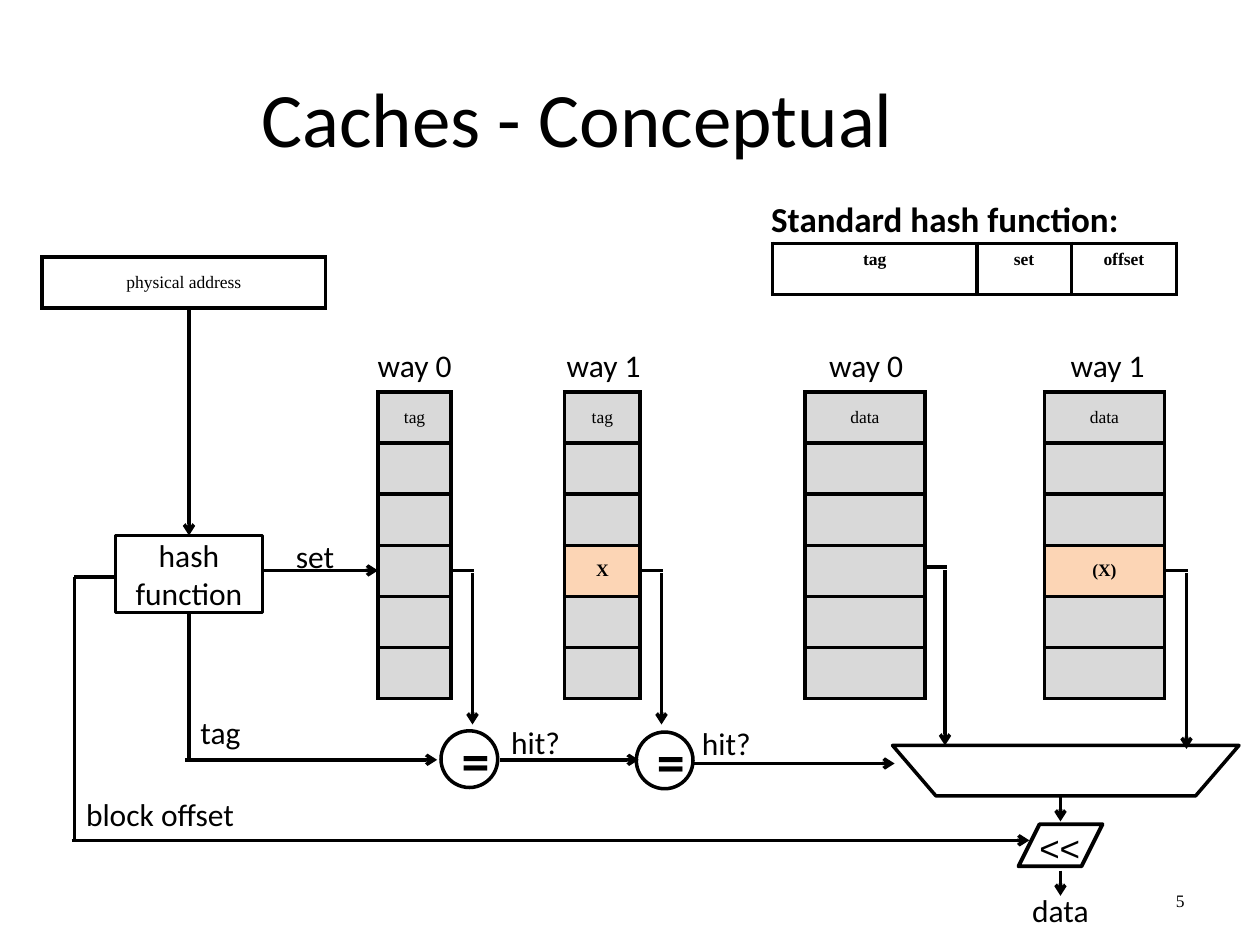
from lxml import etree
from pptx import Presentation
from pptx import util as u
from pptx.dml.color import RGBColor
from pptx.enum import shapes, text
from pptx.oxml.ns import qn

COLORS = {"ink": "000000", "paper": "FFFFFF", "cell": "D9D9D9", "match": "FCD5B5"}
NO_GRID_STYLE = "{2D5ABB26-0587-4C30-8999-92F81FD0307C}"
CENTER, LEFT, RIGHT = text.PP_ALIGN.CENTER, text.PP_ALIGN.LEFT, text.PP_ALIGN.RIGHT
TOP, MIDDLE = text.MSO_ANCHOR.TOP, text.MSO_ANCHOR.MIDDLE


def color(name):
    return RGBColor.from_string(COLORS[name])


class Diagram:
    body, small = "Calibri", "Times New Roman"
    stroke, border = 2, 2.25

    def __init__(self, slide):
        self.slide = slide

    def add_words(self, frame, words, size=18, font=body, bold=False, align=CENTER):
        paragraph = frame.paragraphs[0]
        paragraph.alignment = align
        run = paragraph.add_run()
        run.text = words
        run.font.size = u.Pt(size)
        run.font.name = font
        run.font.bold = bold
        run.font.color.rgb = color("ink")

    def title(self, words, *box):
        heading = self.slide.shapes.title
        heading.left, heading.top, heading.width, heading.height = map(u.Pt, box)
        heading.text_frame.vertical_anchor = MIDDLE
        self.add_words(heading.text_frame, words, 44)

    def label(self, words, *box, anchor=MIDDLE, wrap=True, **style):
        frame = self.slide.shapes.add_textbox(*map(u.Pt, box)).text_frame
        frame.word_wrap = wrap
        frame.vertical_anchor = anchor
        self.add_words(frame, words, **style)

    def outline(self, shape, width=stroke):
        shape.shadow.inherit = False
        shape.fill.solid()
        shape.fill.fore_color.rgb = color("paper")
        shape.line.color.rgb = color("ink")
        shape.line.width = u.Pt(width)

    def block(self, kind, *box, words=None, **style):
        shape = self.slide.shapes.add_shape(kind, *map(u.Pt, box))
        self.outline(shape)
        if words:
            shape.text_frame.word_wrap = True
            shape.text_frame.vertical_anchor = MIDDLE
            self.add_words(shape.text_frame, words, **style)
        return shape

    def polygon(self, start, *corners):
        builder = self.slide.shapes.build_freeform(*start, scale=u.Pt(1))
        builder.add_line_segments(corners, close=True)
        self.outline(builder.convert_to_shape(), self.border)

    def line(self, x1, y1, x2, y2, arrow=False):
        wire = self.slide.shapes.add_connector(
            shapes.MSO_CONNECTOR.STRAIGHT, *map(u.Pt, (x1, y1, x2, y2)))
        wire.line.color.rgb = color("ink")
        wire.line.width = u.Pt(self.stroke)
        props = wire.element.spPr
        if arrow:
            etree.SubElement(props.find(qn("a:ln")), qn("a:tailEnd"), type="arrow")
        etree.SubElement(props, qn("a:effectLst"))

    def table(self, left, top, widths, rows, height=29.2):
        frame = self.slide.shapes.add_table(
            rows, len(widths), *map(u.Pt, (left, top, sum(widths), rows * height)))
        grid = frame.table
        grid.first_row = grid.horz_banding = False
        frame.element.find(".//" + qn("a:tableStyleId")).text = NO_GRID_STYLE
        for column, width in zip(grid.columns, widths):
            column.width = u.Pt(width)
        return grid

    def cell(self, cell, words="", fill="paper", sides="LRTB", anchor=MIDDLE, bold=False):
        cell.vertical_anchor = anchor
        if words:
            self.add_words(cell.text_frame, words, 10, self.small, bold)
        props = cell._tc.get_or_add_tcPr()
        for side in sides:
            edge = etree.SubElement(props, qn(f"a:ln{side}"), w=str(int(u.Pt(self.border))))
            paint = etree.SubElement(edge, qn("a:solidFill"))
            etree.SubElement(paint, qn("a:srgbClr"), val=COLORS["ink"])
        cell.fill.solid()
        cell.fill.fore_color.rgb = color(fill)


def main():
    prs = Presentation()
    prs.slide_width, prs.slide_height = u.Pt(720), u.Pt(540)
    d = Diagram(prs.slides.add_slide(prs.slide_layouts[5]))
    d.title("Caches - Conceptual", 36, 21.6, 588, 90)
    d.label("5", 600, 500.4, 84, 28.8, size=10, font=d.small, align=RIGHT)

    # Tag and data arrays: ways in every other column, gaps between them
    ways = d.table(216, 224, [41.8, 64.8, 43.2, 94.3, 68.4, 68.4, 68.4], 6)
    row_sides = ["LRTB", "LRT", "LRB", "LRTB", "LRT", "LRB"]
    matches = {2: "X", 6: "(X)"}
    for col, heading in zip((0, 2, 4, 6), ("tag", "tag", "data", "data")):
        for row, sides in enumerate(row_sides):
            hit = row == 3 and col in matches
            words = heading if row == 0 else matches[col] if hit else ""
            d.cell(ways.cell(row, col), words, "match" if hit else "cell", sides, bold=hit)

    # Address and its standard split
    address = d.table(24, 146.9, [162], 1)
    d.cell(address.cell(0, 0), "physical address")
    fields = d.table(441.4, 139, [116.8, 54, 60], 1)
    for col, field in enumerate(("tag", "set", "offset")):
        d.cell(fields.cell(0, col), field, anchor=TOP, bold=True)
    d.label("Standard hash function:", 408, 109.4, 264, 45.4, anchor=TOP, size=20, bold=True)

    # Multiplexer, comparators and shifter
    mux = d.block(shapes.MSO_SHAPE.TRAPEZOID, 510, 426, 198, 28.8)
    mux.adjustments[0] = 0.86
    mux.element.spPr.xfrm.set("flipV", "1")
    for left, top in ((252, 417.6), (363.6, 418.3)):
        d.block(shapes.MSO_SHAPE.OVAL, left, top, 32.4, 32.4, words="=", size=32, bold=True)
    d.polygon((594, 470.9), (582, 494.6), (618, 494.6), (630, 470.9))
    d.label("<<", 586.8, 468.7, 38.2, 31, anchor=TOP, wrap=False,
            size=20, font="Arial", align=LEFT)

    # Read-out of each way: a short tick, then an arrow down
    for x, y, tip in ((258, 326, 414), (366, 326, 414), (528, 324, 426), (666, 326, 428)):
        d.line(x, y, x + 13, y)
        d.line(x + 12, y + 1.5, x + 12, tip, arrow=True)

    # Wires without an arrowhead
    for wire in ((108, 433.4, 108, 336), (42.5, 481, 42.5, 329.8), (42.5, 329.8, 107.3, 329.8)):
        d.line(*wire)

    # Arrows
    for wire in (
        (108, 326, 216, 326),        # set
        (108, 176.4, 108, 306),      # address to hash
        (105.8, 434.2, 249.8, 434.2),  # tag to first comparator
        (285.8, 434.2, 365, 434.2),  # first hit
        (396, 436.3, 511.2, 436.3),  # second hit
        (41, 480.2, 588.2, 480.2),   # block offset
        (606, 455, 606, 469.4),      # multiplexer to shifter
        (606, 497.5, 606, 511.9),    # shifter to data
    ):
        d.line(*wire, arrow=True)

    d.block(shapes.MSO_SHAPE.RECTANGLE, 66, 306, 84, 43.9, words="hash function")

    # Labels
    for words, left, top, width in (
        ("way 0", 198, 194.4, 78), ("way 1", 306, 194.4, 78),
        ("way 0", 456, 194.4, 78), ("way 1", 594, 194.4, 78),
        ("hit?", 264, 409.7, 84), ("hit?", 373, 410.4, 84),
        ("set", 138, 303.1, 84), ("tag", 84, 404, 84),
        ("block offset", 21, 450.7, 141), ("data", 564, 505.4, 84),
    ):
        d.label(words, left, top, width, 28.8)

    prs.save("out.pptx")


if __name__ == "__main__":
    main()
